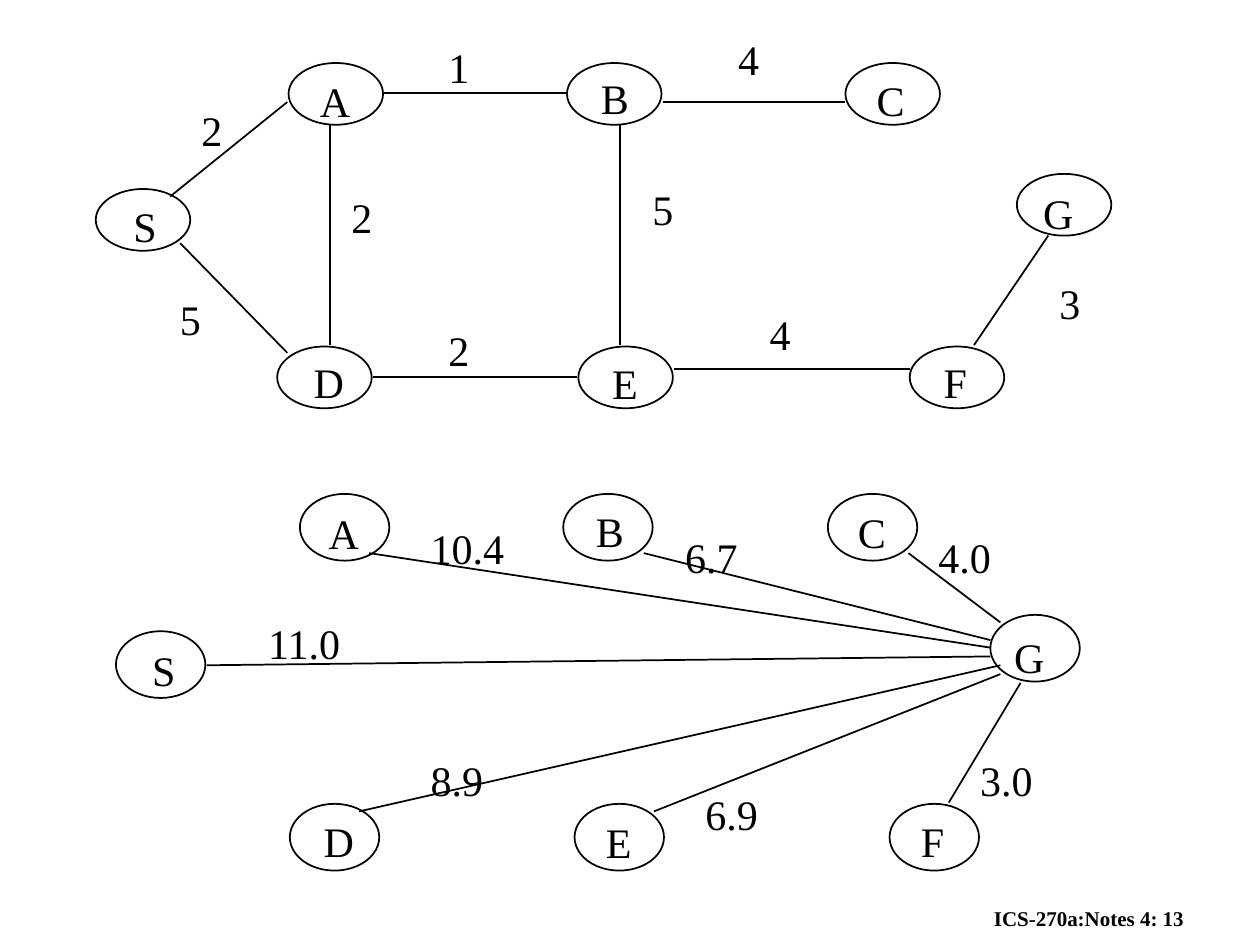
from dataclasses import dataclass

from pptx import Presentation
from pptx.dml.color import RGBColor
from pptx.enum.shapes import MSO_CONNECTOR, MSO_SHAPE
from pptx.enum.text import MSO_AUTO_SIZE
from pptx.oxml.ns import qn
from pptx.util import Inches, Pt
from lxml.etree import SubElement


@dataclass(frozen=True)
class Theme:
    ink: RGBColor = RGBColor(0, 0, 0)
    font: str = "Times New Roman"
    label_size: int = 24
    footer_size: int = 12
    line_width: int = 1


# Advance widths of the label characters, in ems
ADVANCE = {"A": 0.72, "B": 0.67, "C": 0.67, "D": 0.72, "E": 0.61, "F": 0.56,
           "G": 0.72, "S": 0.56, ".": 0.25}
DIGIT_ADVANCE = 0.5
LABEL_HEIGHT = 0.5


class GraphSlide:
    def __init__(self, s, theme):
        self.s = s
        self.theme = theme

    def text(self, text, x, y, w, h, size, bold=False, wrap=False):
        tf = self.s.shapes.add_textbox(
            Inches(x), Inches(y), Inches(w), Inches(h)).text_frame
        tf.word_wrap = wrap
        tf.auto_size = MSO_AUTO_SIZE.SHAPE_TO_FIT_TEXT
        p = tf.paragraphs[0]
        p.text = text
        p.font.name = self.theme.font
        p.font.size = Pt(size)
        p.font.bold = bold
        p.font.color.rgb = self.theme.ink

    def label(self, text, x, y):
        ems = sum(ADVANCE.get(c, DIGIT_ADVANCE) for c in text)
        w = 0.2 + ems * self.theme.label_size / 72
        self.text(text, x, y, w, LABEL_HEIGHT, self.theme.label_size)

    def stroke(self, line):
        line.color.rgb = self.theme.ink
        line.width = Pt(self.theme.line_width)

    def node(self, name, x, y, size, label_at):
        w, h = size
        sp = self.s.shapes.add_shape(
            MSO_SHAPE.OVAL, Inches(x), Inches(y), Inches(w), Inches(h))
        sp.shadow.inherit = False
        sp.fill.background()
        self.stroke(sp.line)
        self.label(name, *label_at)

    def edge(self, start, end, cost, label_at):
        cxn = self.s.shapes.add_connector(
            MSO_CONNECTOR.STRAIGHT, *map(Inches, start + end))
        self.stroke(cxn.line)
        SubElement(cxn._element.spPr, qn("a:effectLst"))
        self.label(cost, *label_at)

    def graph(self, nodes, edges, size):
        for name, x, y, label_at in nodes:
            self.node(name, x, y, size, label_at)
        for edge in edges:
            self.edge(*edge)


# Nodes: name, left, top, label position
# Edges: start, end, cost, label position
ROAD_SIZE = (0.75, 0.49)
ROAD_NODES = [
    ("S", 0.76, 1.5, (0.96, 1.54)),
    ("A", 2.29, 0.5, (2.44, 0.55)),
    ("B", 4.5, 0.5, (4.67, 0.53)),
    ("C", 6.71, 0.5, (6.86, 0.54)),
    ("D", 2.2, 2.75, (2.39, 2.78)),
    ("E", 4.59, 2.75, (4.76, 2.79)),
    ("F", 7.22, 2.75, (7.39, 2.78)),
    ("G", 8.07, 1.38, (8.18, 1.44)),
]
ROAD_EDGES = [
    ((1.35, 1.56), (2.28, 0.81), "2", (1.5, 0.78)),
    ((1.43, 1.93), (2.28, 2.8), "5", (1.33, 2.28)),
    ((2.62, 0.99), (2.62, 2.74), "2", (2.69, 1.47)),
    ((3.05, 0.74), (4.49, 0.74), "1", (3.46, 0.28)),
    ((5.26, 0.81), (6.71, 0.81), "4", (5.76, 0.22)),
    ((4.92, 0.99), (4.92, 2.74), "5", (5.08, 1.41)),
    ((2.96, 2.99), (4.58, 2.99), "2", (3.46, 2.53)),
    ((5.35, 2.93), (7.22, 2.93), "4", (6.01, 2.4)),
    ((7.73, 2.74), (8.32, 1.87), "3", (8.31, 2.15)),
]

GOAL_SIZE = (0.71, 0.53)
GOAL_NODES = [
    ("S", 0.92, 5.01, (1.11, 5.07)),
    ("A", 2.38, 3.92, (2.51, 3.98)),
    ("B", 4.47, 3.92, (4.63, 3.96)),
    ("C", 6.57, 3.92, (6.71, 3.97)),
    ("D", 2.3, 6.38, (2.47, 6.42)),
    ("E", 4.56, 6.38, (4.71, 6.43)),
    ("F", 7.06, 6.38, (7.21, 6.42)),
    ("G", 7.86, 4.88, (7.95, 4.96)),
]
GOAL_EDGES = [
    ((7.21, 4.39), (7.94, 4.94), "4.0", (7.35, 4.17)),
    ((5.11, 4.39), (7.86, 5.08), "6.7", (5.34, 4.17)),
    ((2.93, 4.39), (7.86, 5.14), "10.4", (3.32, 4.1)),
    ((1.64, 5.28), (7.86, 5.21), "11.0", (2.03, 4.85)),
    ((2.85, 6.44), (7.94, 5.28), "8.9", (3.32, 5.94)),
    ((5.19, 6.44), (7.94, 5.35), "6.9", (5.5, 6.21)),
    ((7.53, 6.37), (8.1, 5.42), "3.0", (7.68, 5.94)),
]


def main():
    prs = Presentation()
    prs.slide_width, prs.slide_height = Inches(10), Inches(7.5)
    theme = Theme()
    slide = GraphSlide(prs.slides.add_slide(prs.slide_layouts[6]), theme)

    # Footer
    slide.text("ICS-270a:Notes 4: 13", 7.79, 7.14, 2.3, 0.3,
               theme.footer_size, bold=True, wrap=True)

    # Straight-line distances to the goal
    slide.graph(GOAL_NODES, GOAL_EDGES, GOAL_SIZE)

    # Road map with step costs
    slide.graph(ROAD_NODES, ROAD_EDGES, ROAD_SIZE)

    prs.save("out.pptx")


if __name__ == "__main__":
    main()
